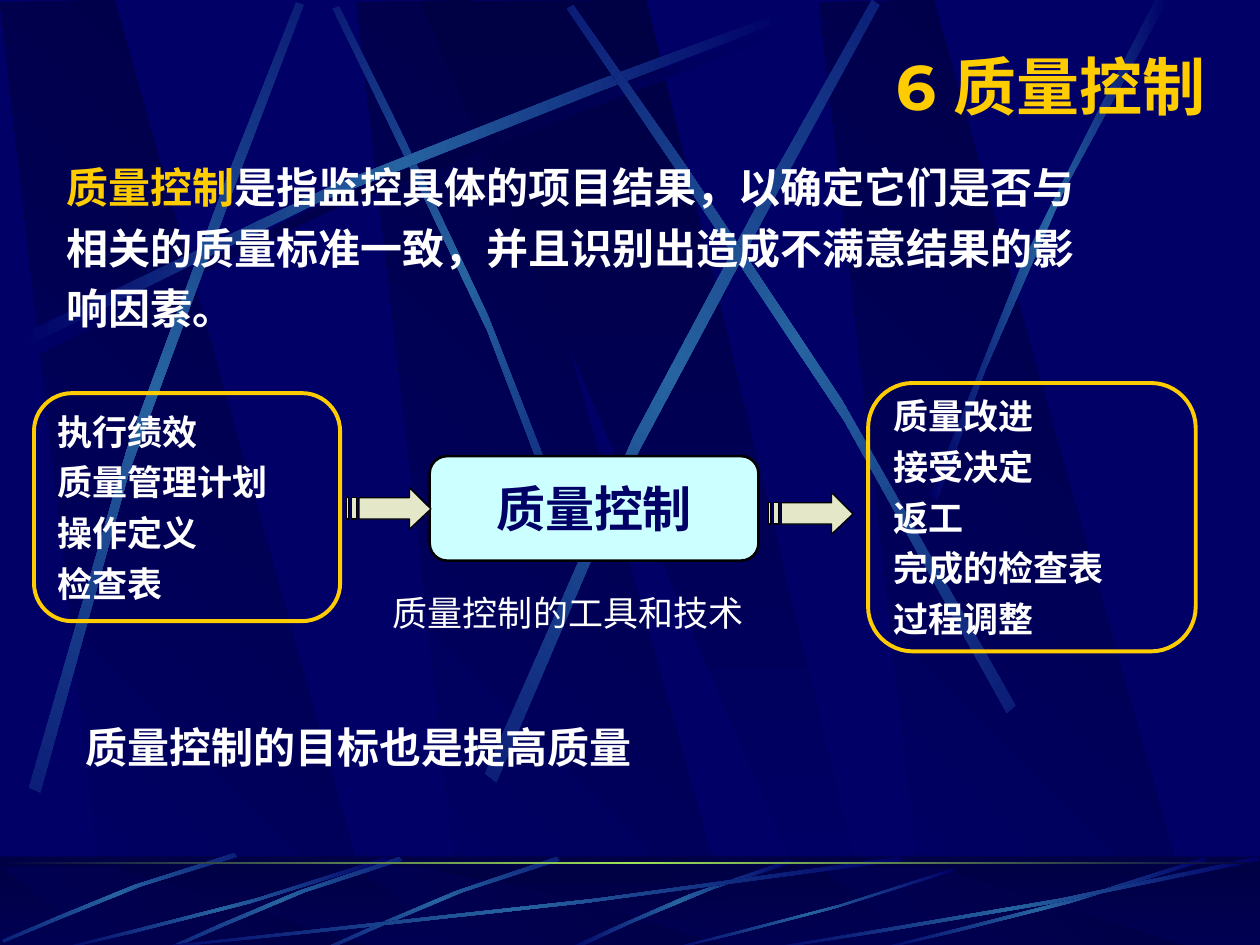
from math import cos, radians, sin

from lxml import etree
from pptx import Presentation
from pptx.dml.color import RGBColor
from pptx.enum.shapes import MSO_SHAPE
from pptx.enum.text import MSO_ANCHOR, MSO_AUTO_SIZE, PP_ALIGN
from pptx.oxml.ns import qn
from pptx.util import Pt

RECT = MSO_SHAPE.RECTANGLE
ROUND = MSO_SHAPE.ROUNDED_RECTANGLE
PROCESS = MSO_SHAPE.FLOWCHART_ALTERNATE_PROCESS
LEFT, MID, RIGHT = PP_ALIGN.LEFT, PP_ALIGN.CENTER, PP_ALIGN.RIGHT
TOP, CENTRE = MSO_ANCHOR.TOP, MSO_ANCHOR.MIDDLE

PX = 9144  # 100 px to the inch
STEPS = 3  # straight pieces in each curved edge
THEME = {
    "navy": "000066", "dark": "000044", "beam": "2663A0", "lime": "9CE157",
    "gold": "FFCC00", "white": "FFFFFF", "ice": "CCFFFF", "sand": "E4E8C8",
    "black": "000000", "head": 36, "core": 28, "body": 24, "list": 20,
}


def outline(shapes, *rings):
    """Draw closed rings of px points as one freeform."""
    rings = [[(x * PX, y * PX) for x, y in ring] for ring in rings]
    pen = shapes.build_freeform(*rings[0][0], scale=1.0)
    for ring in rings:
        if ring is not rings[0]:
            pen.move_to(*ring[0])
        pen.add_line_segments(ring[1:], close=True)
    shape = pen.convert_to_shape()
    shape.shadow.inherit = False
    return shape


def blend(shape, names, angle):
    """Give a shape an even gradient and no line."""
    shape.shadow.inherit = False
    shape.line.fill.background()
    shape.fill.gradient()
    grad = shape._element.spPr.find(qn("a:gradFill"))
    grad.find(qn("a:lin")).set("ang", str(angle * 60000))
    stops = grad.find(qn("a:gsLst"))
    for old in list(stops):
        stops.remove(old)
    for i, name in enumerate(names):
        stop = etree.SubElement(stops, qn("a:gs"), pos=str(100000 * i // (len(names) - 1)))
        etree.SubElement(stop, qn("a:srgbClr"), val=THEME[name])


deck = Presentation()
deck.slide_width, deck.slide_height = 1000 * PX, 750 * PX
slide = deck.slides.add_slide(deck.slide_layouts[5])
slide.background.fill.solid()
slide.background.fill.fore_color.rgb = RGBColor.from_string(THEME["navy"])

# Texts: kind, frame, fill, line, width, align, anchor, wrap, size, bold, colour, gap, lines
TEXTS = (
    ("title", (117, 33, 850, 70), None, None, 0, RIGHT, CENTRE, True, "head", True, "gold", 0,
     ["6 质量控制"]),
    ("text", (43, 123, 889, 150), None, None, 0, LEFT, TOP, True, "body", True, "white", 6,
     [("质量控制", "是指监控具体的项目结果，以确定它们是否与"),
      "相关的质量标准一致，并且识别出造成不满意结果的影", "响因素。"]),
    (ROUND, (27, 312, 243, 181), None, "gold", 2.25, LEFT, CENTRE, True, "list", True, "white", 5,
     ["执行绩效", "质量管理计划", "操作定义", "检查表"]),
    (ROUND, (689, 304, 260, 213), None, "gold", 2.25, LEFT, CENTRE, True, "list", True, "white", 5,
     ["质量改进", "接受决定", "返工", "完成的检查表", "过程调整"]),
    (PROCESS, (341, 362, 261, 83), "ice", "black", 1.5, MID, CENTRE, True, "core", True, "navy", 0,
     ["质量控制"]),
    ("text", (350, 470, 250, 33), None, None, 0, RIGHT, CENTRE, False, "list", False, "white", 0,
     ["质量控制的工具和技术"]),
    ("text", (58, 568, 858, 42), None, None, 0, LEFT, TOP, True, "body", True, "white", 0,
     ["质量控制的目标也是提高质量"]),
)
for kind, spot, fill, line, width, align, anchor, wrap, size, bold, tint, gap, lines in TEXTS:
    spot = [n * PX for n in spot]
    if kind == "title":
        box = slide.shapes.title
        box.left, box.top, box.width, box.height = spot
    elif kind == "text":
        box = slide.shapes.add_textbox(*spot)
    else:
        box = slide.shapes.add_shape(kind, *spot)
        box.shadow.inherit = False
        box.line.color.rgb = RGBColor.from_string(THEME[line])
        box.line.width = Pt(width)
        if fill:
            box.fill.solid()
            box.fill.fore_color.rgb = RGBColor.from_string(THEME[fill])
        else:
            box.fill.background()
    frame = box.text_frame
    look = {"word_wrap": wrap, "vertical_anchor": anchor, "auto_size": MSO_AUTO_SIZE.NONE}
    for key, value in look.items():
        setattr(frame, key, value)
    face = "Montserrat" if kind == "title" else "Arial"
    for i, words in enumerate(lines):
        para = frame.add_paragraph() if i else frame.paragraphs[0]
        para.alignment = align
        para.space_before = Pt(gap if i else 0)
        parts = [(words, tint)] if isinstance(words, str) else zip(words, ("gold", tint))
        for part, shade in parts:
            run = para.add_run()
            run.text = part
            for key, value in {"name": face, "size": Pt(THEME[size]), "bold": bold}.items():
                setattr(run.font, key, value)
            run.font.color.rgb = RGBColor.from_string(THEME[shade])

# Striped arrows between the boxes
ARROW = (
    ((10, 8), (50, 8), (50, 0), (67, 17), (50, 33), (50, 25), (10, 25)),
    ((0, 8), (2, 8), (2, 25), (0, 25)),
    ((4, 8), (8, 8), (8, 25), (4, 25)),
)
for left, top in ((275, 387), (610, 391)):
    arrow = outline(slide.shapes, *[[(left + x, top + y) for x, y in ring] for ring in ARROW])
    arrow.fill.solid()
    arrow.fill.fore_color.rgb = RGBColor.from_string(THEME["sand"])
    arrow.line.color.rgb = RGBColor.from_string(THEME["black"])
    arrow.line.width = Pt(0.75)

# Backdrop data: panels, then beams as turn, tint and two curved edges
SHADE = ("dark", "navy")
SLANT = ((86, 750), (302, 752), (91, 0), (0, 2))
PANELS = [([(x + dx, y) for x, y in SLANT], 135) for dx in (283, 0, 650)]
PANELS.append((((333, 1), (658, 751), (694, 751), (513, 0)), 90))
TALL = (
    (0, "dark", (20, 275, 284, 134, 524, 59, 626, 18), (629, 24, 528, 69, 254, 151, 23, 285)),
    (45, "beam", (460, 436, 391, 234, 302, 77, 269, 5), (264, 7, 295, 79, 398, 258, 454, 439)),
    (0, "beam", (14, 267, 278, 125, 518, 51, 620, 10), (623, 16, 522, 61, 248, 143, 17, 277)),
    (311.7, "beam", (23, 625, 93, 334, 197, 105, 235, 2), (241, 4, 207, 108, 86, 368, 32, 629)),
    (321.6, "beam", (385, 614, 498, 320, 638, 102, 692, 0), (698, 4, 649, 108, 486, 355, 394, 621)),
    (34.8, "beam", (806, 560, 670, 293, 516, 95, 455, 4), (450, 7, 507, 101, 685, 325, 799, 566)),
    (0, "beam", (738, 393, 814, 173, 888, 66, 917, 0), (927, 0, 836, 145, 769, 322, 744, 397)),
)
LOW = (
    (0, "beam", (627, 682, 537, 709, 477, 742, 448, 754), (453, 755, 490, 737, 571, 700, 628, 685)),
    (314.9, "beam", (442, 680, 355, 705, 287, 740, 256, 753), (257, 755, 288, 743, 365, 703, 444, 683)),
    (314.9, "beam", (317, 680, 230, 705, 162, 740, 131, 753), (132, 755, 163, 743, 240, 703, 319, 683)),
    (314.9, "beam", (186, 677, 99, 700, 33, 734, 2, 746), (3, 748, 34, 737, 110, 698, 188, 680)),
    (0, "beam", (717, 683, 449, 723, 206, 744, 103, 755), (100, 754, 202, 741, 480, 718, 714, 680)),
    (0, "beam", (308, 683, 193, 723, 88, 744, 43, 755), (42, 754, 86, 741, 206, 718, 307, 680)),
    (0, "beam", (758, 691, 658, 726, 567, 745, 528, 755), (527, 754, 565, 743, 669, 722, 757, 689)),
    (0, "beam", (958, 683, 843, 723, 738, 744, 693, 755), (692, 754, 736, 741, 856, 718, 957, 680)),
    (0, "beam", (1000, 683, 827, 723, 669, 744, 602, 755), (600, 754, 666, 741, 846, 718, 998, 680)),
)

# Backdrop: main field, then the foot band
group = slide.shapes.add_group_shape()
art = group.shapes
for top, high, beams in ((0, 752, TALL), (688, 66, LOW)):
    if top:
        blend(art.add_shape(RECT, 0, 680 * PX, 1000 * PX, 75 * PX), SHADE, 90)
    for points, angle in PANELS:
        squeezed = [(x, top + y * high / 752) for x, y in points]
        blend(outline(art, squeezed), SHADE, angle)
    if top:
        veil = art.add_shape(RECT, 0, 679 * PX, 1000 * PX, 75 * PX)
        veil.shadow.inherit = False
        veil.line.fill.background()
        veil.fill.solid()
        veil.fill.fore_color.rgb = RGBColor.from_string(THEME["dark"])
        tint = veil._element.spPr.find(".//" + qn("a:srgbClr"))
        etree.SubElement(tint, qn("a:alpha"), val="50000")
    for turn, tint, *edges in beams:
        spin = complex(cos(radians(turn)), sin(radians(turn)))
        ring = []
        for edge in edges:
            a, b, c, d = [complex(x, y) / spin for x, y in zip(edge[::2], edge[1::2])]
            for t in [i / STEPS for i in range(STEPS + 1)]:
                u = 1 - t
                dot = a * u**3 + 3 * b * u * u * t + 3 * c * u * t * t + d * t**3
                ring.append((dot.real, dot.imag))
        beam = outline(art, ring)
        blend(beam, ("navy", tint, "navy"), 180)
        # Turn the level beam back about its own centre
        hub = complex(beam.left + beam.width / 2, beam.top + beam.height / 2) * spin
        beam.left = round(hub.real - beam.width / 2)
        beam.top = round(hub.imag - beam.height / 2)
        beam.rotation = turn
rule = art.add_shape(RECT, 0, 684 * PX, 1000 * PX, 2 * PX)
blend(rule, ("dark", "lime", "dark"), 180)

# The backdrop belongs to the master, behind everything
deck.slide_master.shapes._spTree.insert(2, group._element)

deck.save("out.pptx")
